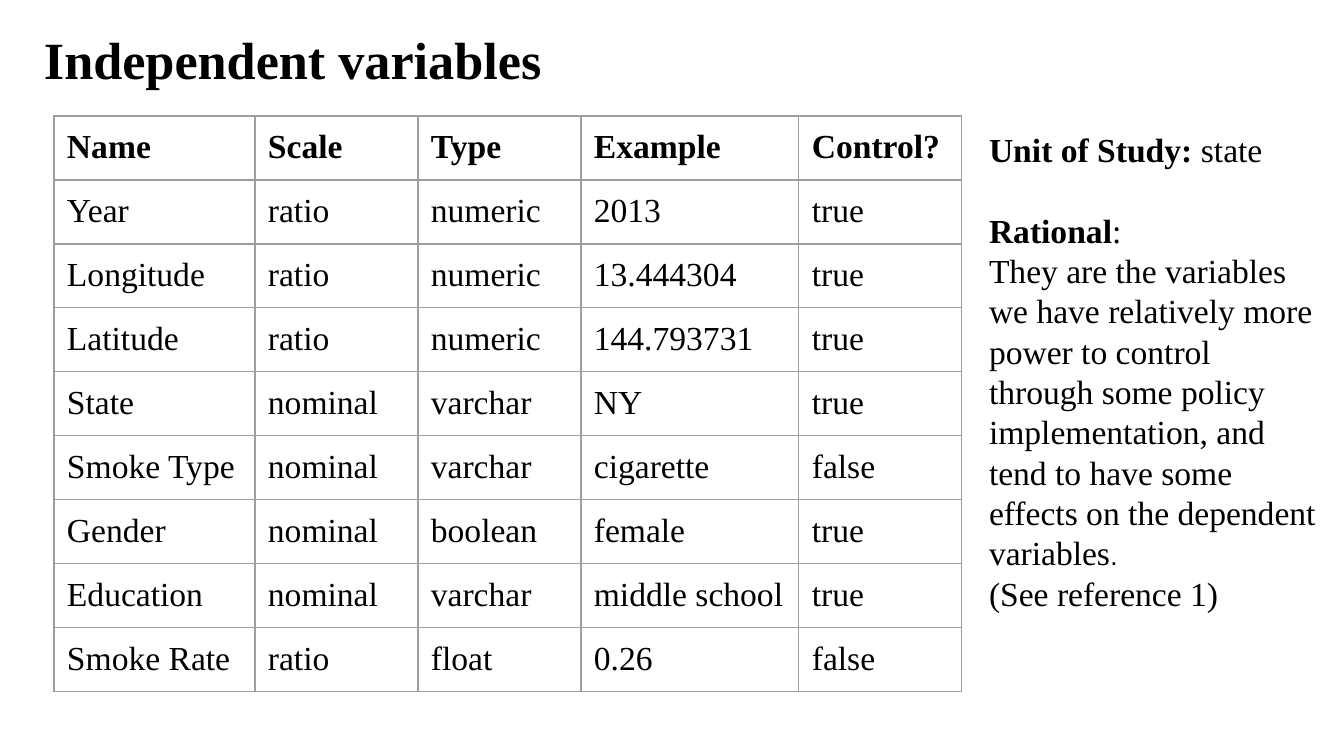
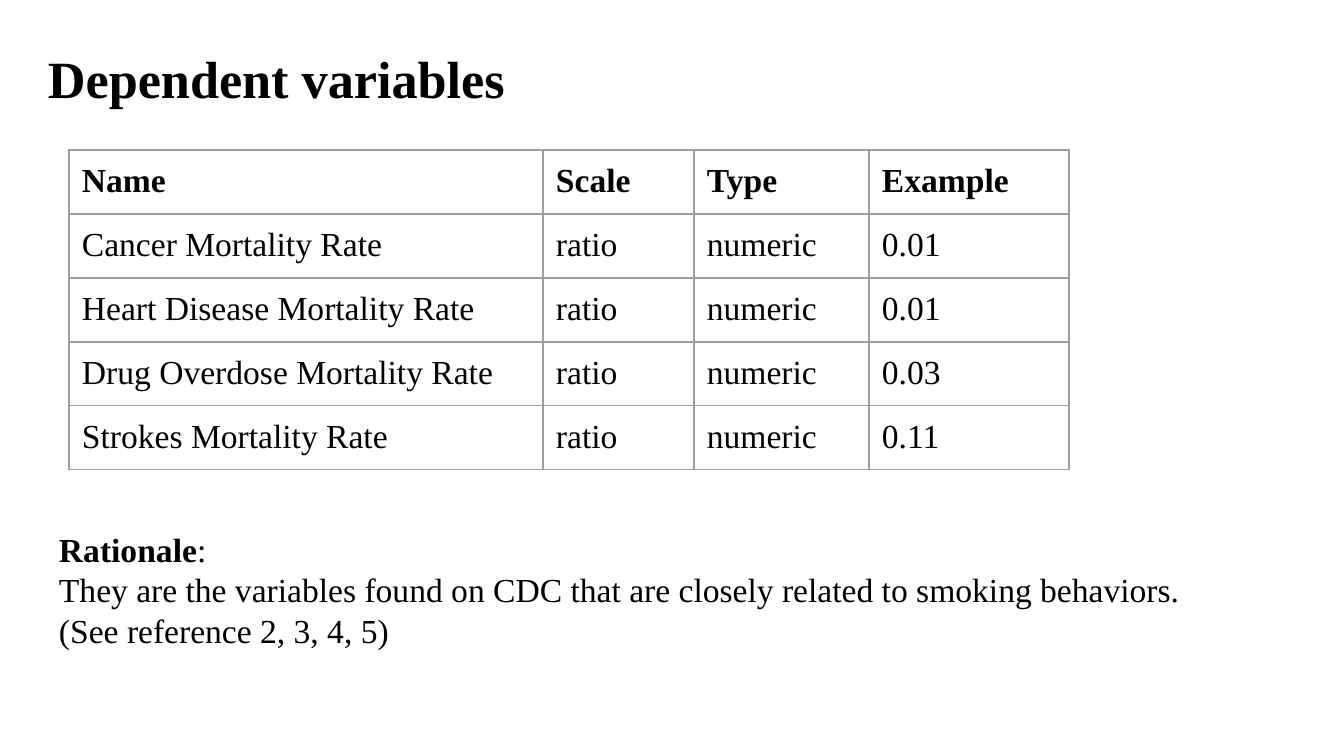
"""Build two slides that list the independent and dependent variables of a study."""
from lxml.etree import SubElement
from pptx import Presentation
from pptx.dml.color import RGBColor
from pptx.enum.text import MSO_ANCHOR
from pptx.oxml import parse_xml
from pptx.oxml.ns import nsdecls, qn
from pptx.util import Emu, Pt

BLACK = RGBColor(0x00, 0x00, 0x00)
GREY = RGBColor(0x9E, 0x9E, 0x9E)
WHITE = RGBColor(0xFF, 0xFF, 0xFF)
SERIF = "Times New Roman"
SANS = "Arial"
PAD = 13
FOOT = 10
ROW = 64


def px(n):
    return Emu(round(n * 914400 / 134.4))


def style(para, size, bold=None):
    para.font.name = SERIF
    para.font.size = Pt(size)
    para.font.color.rgb = BLACK
    para.font.bold = bold


pages = [
    {
        "title": ("Independent variables", 31, 14),
        "place": (54, 116),
        "cols": [201, 163, 163, 218, 163],
        "rows": [
            ("Name", "Scale", "Type", "Example", "Control?"),
            ("Year", "ratio", "numeric", "2013", "true"),
            ("Longitude", "ratio", "numeric", "13.444304", "true"),
            ("Latitude", "ratio", "numeric", "144.793731", "true"),
            ("State", "nominal", "varchar", "NY", "true"),
            ("Smoke Type", "nominal", "varchar", "cigarette", "false"),
            ("Gender", "nominal", "boolean", "female", "true"),
            ("Education", "nominal", "varchar", "middle school", "true"),
            ("Smoke Rate", "ratio", "float", "0.26", "false"),
        ],
        "box": (976, 116, 357, 628),
        "note": [
            (0, "Unit of Study:", " state", ""),
            (21.6, "Rational", ":", ""),
            (0, "", "They are the variables we have relatively more power to "
             "control through some policy implementation, and tend to have "
             "some effects on the dependent variables", "."),
            (0, "", "(See reference 1)", ""),
        ],
    },
    {
        "title": ("Dependent variables", 35, 33),
        "place": (69, 150),
        "cols": [474, 151, 175, 200],
        "rows": [
            ("Name", "Scale", "Type", "Example"),
            ("Cancer Mortality Rate", "ratio", "numeric", "0.01"),
            ("Heart Disease Mortality Rate", "ratio", "numeric", "0.01"),
            ("Drug Overdose Mortality Rate", "ratio", "numeric", "0.03"),
            ("Strokes Mortality Rate", "ratio", "numeric", "0.11"),
        ],
        "box": (46, 516, 1278, 230),
        "note": [
            (0, "Rationale", ":", ""),
            (0, "", "They are the variables found on CDC that are closely "
             "related to smoking behaviors.", ""),
            (0, "", "(See reference 2, 3, 4, 5)", ""),
        ],
    },
]

deck = Presentation()
deck.slide_width, deck.slide_height = px(1344), px(756)

for page in pages:
    slide = deck.slides.add_slide(deck.slide_layouts[6])
    slide.background.fill.solid()
    slide.background.fill.fore_color.rgb = WHITE

    text, left, top = page["title"]
    title = slide.shapes.add_textbox(px(left), px(top), px(1253), px(85))

    rows, cols = page["rows"], page["cols"]
    left, top = page["place"]
    table = slide.shapes.add_table(
        len(rows), len(cols), px(left), px(top), px(sum(cols)), px(ROW * len(rows))
    ).table
    table.first_row = table.horz_banding = False
    for col, width in zip(table.columns, cols):
        col.width = px(width)
    for r, row in enumerate(rows):
        table.rows[r].height = px(ROW)
        for c, word in enumerate(row):
            cell = table.cell(r, c)
            cell.margin_left = cell.margin_right = cell.margin_top = px(PAD)
            cell.margin_bottom = px(FOOT)
            cell.text = word
            style(cell.text_frame.paragraphs[0], 18, r == 0)
            cell.fill.background()
            props = cell._tc.get_or_add_tcPr()
            for i, side in enumerate("LRTB"):
                line = parse_xml(f'<a:ln{side} {nsdecls("a")} w="{Pt(0.75)}"/>')
                fill = SubElement(line, qn("a:solidFill"))
                SubElement(fill, qn("a:srgbClr")).set("val", str(GREY))
                props.insert(i, line)

    note = slide.shapes.add_textbox(*map(px, page["box"]))
    for box in (title, note):
        frame = box.text_frame
        frame.word_wrap = True
        frame.vertical_anchor = MSO_ANCHOR.TOP
        frame.margin_left = frame.margin_right = px(PAD)
        frame.margin_top = frame.margin_bottom = px(PAD)

    para = title.text_frame.paragraphs[0]
    para.text = text
    style(para, 28, True)

    for i, (gap, head, body, stop) in enumerate(page["note"]):
        frame = note.text_frame
        para = frame.add_paragraph() if i else frame.paragraphs[0]
        para.space_before = Pt(gap)
        style(para, 18)
        if head:
            run = para.add_run()
            run.text = head
            run.font.bold = True
        para.add_run().text = body
        if stop:
            run = para.add_run()
            run.text = stop
            run.font.name = SANS
            run.font.size = Pt(14)

deck.save("out.pptx")
